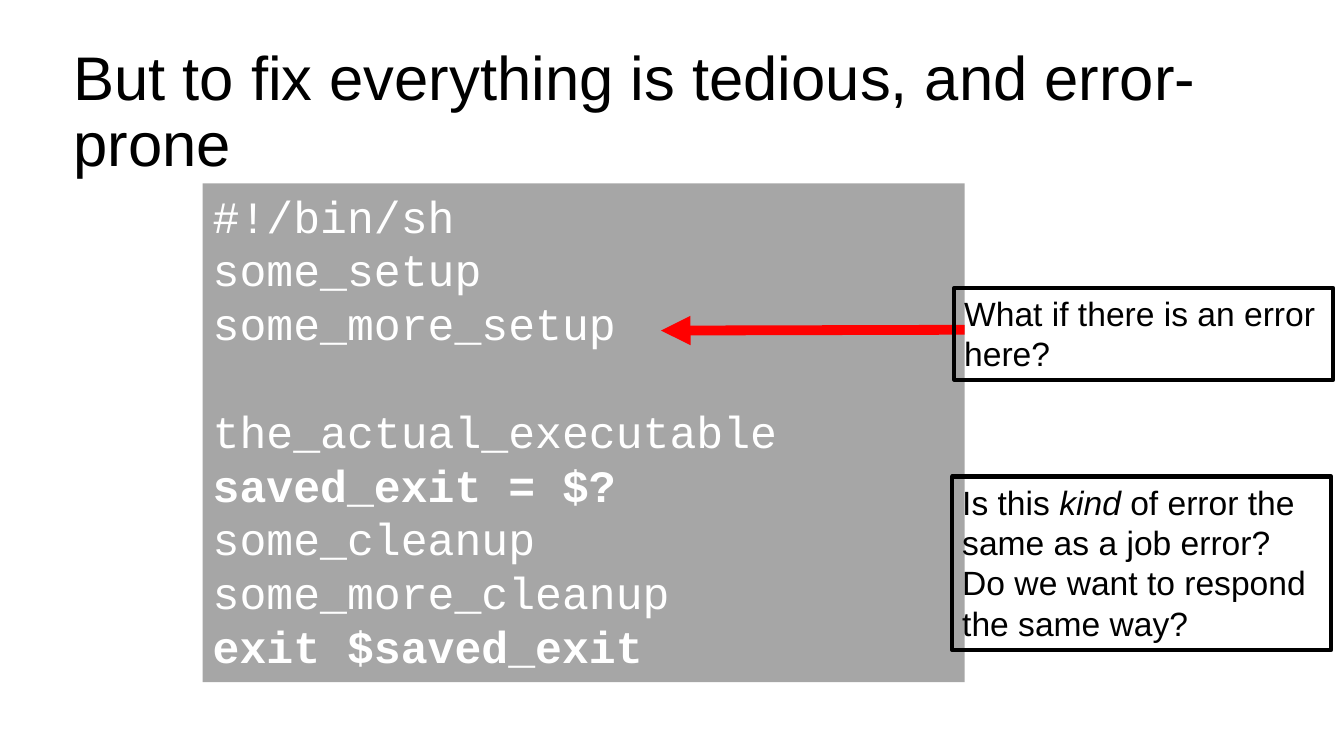
from lxml.etree import SubElement
from pptx import Presentation
from pptx.dml.color import RGBColor
from pptx.enum.shapes import MSO_CONNECTOR, MSO_SHAPE
from pptx.enum.text import MSO_ANCHOR, MSO_AUTO_SIZE, PP_ALIGN
from pptx.oxml.ns import qn
from pptx.util import Cm, Pt

COLORS = {"ink": "000000", "code": "FFFFFF", "panel": "A6A6A6", "arrow": "FF0000"}


def rgb(name):
    return RGBColor.from_string(COLORS[name])


def write(shape, paras, size, font="Arial", color="ink", anchor=MSO_ANCHOR.TOP,
          grow=True, spacing=None, gaps=None):
    """Fill a shape with paragraphs, each a list of (text, style) runs."""
    frame = shape.text_frame
    frame.word_wrap = True
    frame.vertical_anchor = anchor
    frame.auto_size = MSO_AUTO_SIZE.SHAPE_TO_FIT_TEXT if grow else MSO_AUTO_SIZE.NONE
    for i, runs in enumerate(paras):
        para = frame.add_paragraph() if i else frame.paragraphs[0]
        para.alignment = PP_ALIGN.LEFT
        if spacing:
            para.line_spacing = spacing
        if gaps and i in gaps:
            para.space_before = Pt(gaps[i])
        for text, style in runs:
            run = para.add_run()
            run.text = text
            run.font.name = font
            run.font.size = Pt(size)
            run.font.color.rgb = rgb(color)
            run.font.bold = style == "bold"
            run.font.italic = style == "italic"


def add_box(slide, left, top, width, height, fill=None, line=None):
    box = slide.shapes.add_shape(
        MSO_SHAPE.RECTANGLE, Cm(left), Cm(top), Cm(width), Cm(height))
    box.shadow.inherit = False
    if fill:
        box.fill.solid()
        box.fill.fore_color.rgb = rgb(fill)
    else:
        box.fill.background()
    if line:
        box.line.color.rgb = rgb(line)
        box.line.width = Pt(3)
    else:
        box.line.fill.background()
    return box


def add_title(slide, text):
    box = slide.shapes.add_textbox(Cm(1.6), Cm(1.02), Cm(31.98), Cm(3.68))
    write(box, [[(text, None)]], 44, anchor=MSO_ANCHOR.MIDDLE, grow=False, spacing=0.9)


def add_code(slide, lines, gaps):
    box = add_box(slide, 5.11, 4.62, 19.2, 12.57, fill="panel")
    write(box, [[line] for line in lines], 32, font="Courier New",
          color="code", gaps=gaps)


def add_arrow(slide, start, end):
    arrow = slide.shapes.add_connector(
        MSO_CONNECTOR.STRAIGHT, *(Cm(n) for n in start + end))
    arrow.line.color.rgb = rgb("arrow")
    arrow.line.width = Pt(7)
    SubElement(arrow.line._get_or_add_ln(), qn("a:tailEnd"), type="triangle")
    SubElement(arrow._element.spPr, qn("a:effectLst"))


def add_note(slide, left, top, height, paras):
    box = add_box(slide, left, top, 9.55, height, line="ink")
    write(box, paras, 24)


def main():
    deck = Presentation()
    deck.slide_width, deck.slide_height = Cm(33.87), Cm(19.05)
    slide = deck.slides.add_slide(deck.slide_layouts[6])

    add_title(slide, "But to fix everything is tedious, and error-prone")

    # Shell script, with a one-line gap before the executable
    add_code(slide, [
        ("#!/bin/sh", None),
        ("some_setup", None),
        ("some_more_setup", None),
        ("the_actual_executable", None),
        ("saved_exit = $?", "bold"),
        ("some_cleanup", None),
        ("some_more_cleanup", None),
        ("exit $saved_exit", "bold"),
    ], gaps={3: 38.6})

    # Questions about the setup step
    add_arrow(slide, (24.31, 8.31), (16.66, 8.33))
    add_note(slide, 24.05, 7.26, 2.31, [[("What if there is an error here?", None)]])
    add_note(slide, 24, 12.01, 4.37, [
        [("Is this ", None), ("kind", "italic"),
         (" of error the same as a job error?", None)],
        [("Do we want to respond the same way?", None)],
    ])

    deck.save("out.pptx")


if __name__ == "__main__":
    main()
